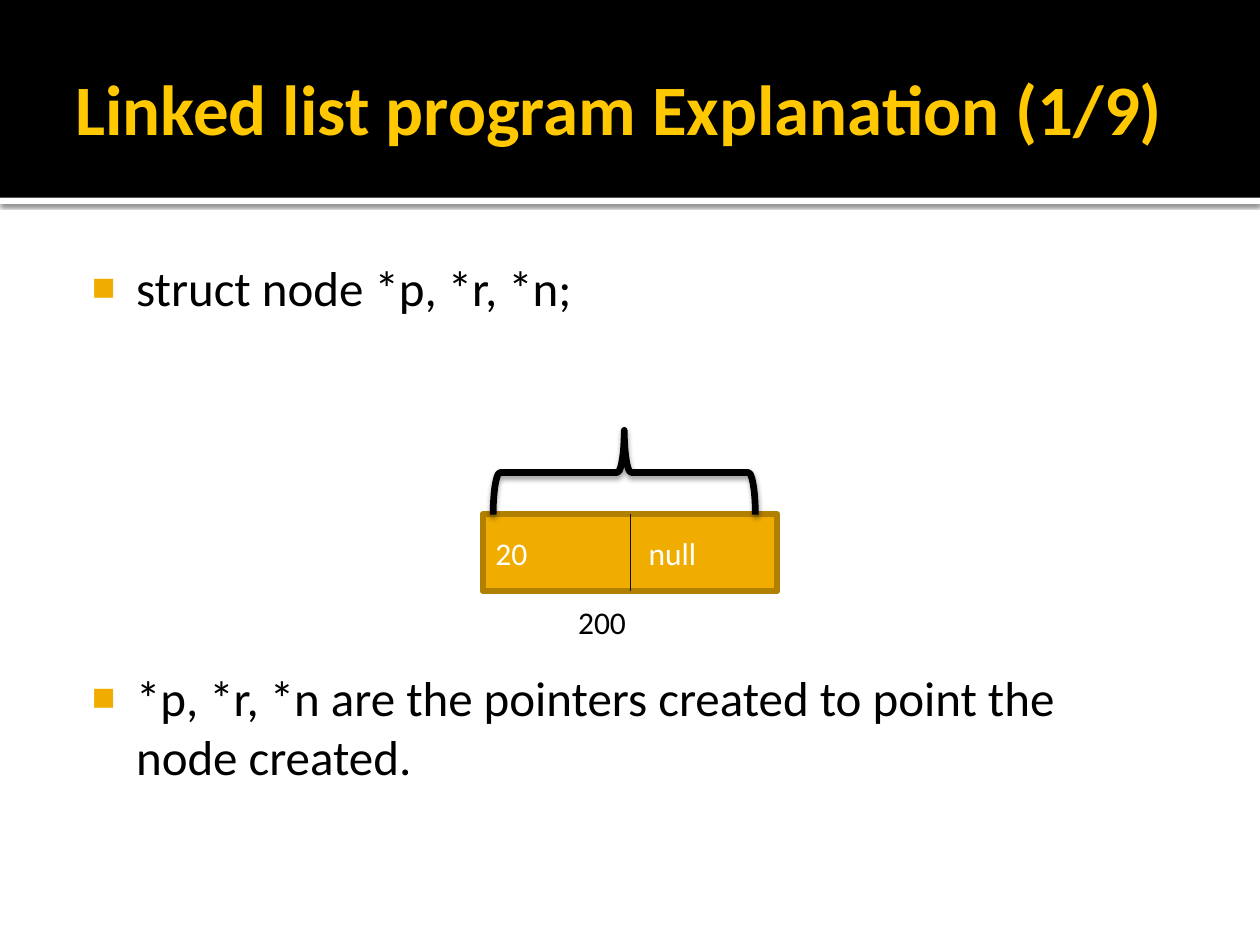
from lxml import etree
from pptx import Presentation
from pptx.dml.color import RGBColor
from pptx.enum.shapes import MSO_CONNECTOR as Link, MSO_SHAPE as Kind
from pptx.enum.text import MSO_ANCHOR as Anchor, MSO_AUTO_SIZE as Fit, PP_ALIGN as Align
from pptx.oxml import parse_xml
from pptx.oxml.ns import nsdecls, qn
from pptx.util import Pt

BLACK = RGBColor(0, 0, 0)
WHITE = RGBColor(255, 255, 255)
GOLD = RGBColor(0xFF, 0xC8, 0x00)
AMBER = RGBColor(0xF0, 0xAD, 0x00)
BROWN = RGBColor(0xB2, 0x80, 0x00)
INK = RGBColor(0x0D, 0x0D, 0x0D)


def draw(shapes, kind, box, fill=None, line=None, width=0, shade=None):
    """Add a preset shape; shade is opacity in percent, blur and distance."""
    shape = shapes.add_shape(kind, *map(Pt, box))
    shape.shadow.inherit = False
    if fill is None:
        shape.fill.background()
    else:
        shape.fill.solid()
        shape.fill.fore_color.rgb = fill
    if line is None:
        shape.line.fill.background()
    else:
        shape.line.color.rgb = line
        shape.line.width = Pt(width)
    if shade:
        alpha, blur, dist = shade
        effect = shape._element.spPr.find(qn("a:effectLst"))
        effect.append(parse_xml(
            f'<a:outerShdw {nsdecls("a")} blurRad="{Pt(blur)}" dist="{Pt(dist)}" '
            'dir="5400000" algn="ctr" rotWithShape="0"><a:srgbClr val="000000">'
            f'<a:alpha val="{alpha * 1000}"/></a:srgbClr></a:outerShdw>'))
    return shape


def write(shape, lines, size, color, bold=False, **form):
    """Fill a shape with left-aligned paragraphs; form sets its text frame."""
    frame = shape.text_frame
    base = {"word_wrap": True, "auto_size": Fit.NONE, "vertical_anchor": Anchor.MIDDLE}
    for name, value in {**base, **form}.items():
        setattr(frame, name, value)
    frame.text = "\n".join(lines)
    for para in frame.paragraphs:
        para.alignment = Align.LEFT
        para.space_before = Pt(0)
        look = {"name": "Calibri", "size": Pt(size), "bold": bold}
        for name, value in look.items():
            setattr(para.font, name, value)
        para.font.color.rgb = color
    return frame.paragraphs


deck = Presentation()
deck.slide_width, deck.slide_height = Pt(720), Pt(540)
slide = deck.slides.add_slide(deck.slide_layouts[1])
shapes = slide.shapes
title, body = shapes.title, shapes.placeholders[1]

# Header band and the strip under it, behind the text
band = draw(shapes, Kind.RECTANGLE, (0, 0, 720, 113), BLACK)
strip = draw(shapes, Kind.RECTANGLE, (0, 113, 720, 3.6), WHITE, shade=(60, 2.5, 0.8))
for back in (band, strip):
    shapes._spTree.insert(2, back._element)

# Title and list
places = ((title, (36, 12.2, 648, 98.6)), (body, (36, 139.7, 635.8, 364.3)))
for holder, box in places:
    for name, value in zip(("left", "top", "width", "height"), box):
        setattr(holder, name, Pt(value))
write(title, ["Linked list program Explanation (1/9)"], 40.5, GOLD, True,
      margin_right=Pt(3.6))
points = write(body, ["struct node *p, *r, *n;",
                      "*p, *r, *n are the pointers created to point the node created."],
               28, BLACK, vertical_anchor=Anchor.TOP, margin_top=Pt(7.2))
points[1].space_before = Pt(201)
for point in points:
    props = point._p.get_or_add_pPr()
    props.set("marL", str(Pt(34.56)))
    props.set("indent", str(Pt(-25.2)))
    marks = (f'<a:buClr {nsdecls("a")}><a:srgbClr val="{AMBER}"/></a:buClr>',
             f'<a:buSzPct {nsdecls("a")} val="80000"/>',
             f'<a:buFont {nsdecls("a")} typeface="Arial"/>',
             f'<a:buChar {nsdecls("a")} char="■"/>')
    spot = list(props).index(props.find(qn("a:defRPr")))
    for step, mark in enumerate(marks):
        props.insert(spot + step, parse_xml(mark))

# List node: data and link fields with the address below
group = shapes.add_group_shape().shapes
node = draw(group, Kind.RECTANGLE, (276, 293.8, 168, 43.9), AMBER, BROWN, 3.78)
field = write(node, ["20\tnull"], 18, WHITE)[0]
props = field._p.get_or_add_pPr()
props.find(qn("a:defRPr")).addprevious(parse_xml(
    f'<a:tabLst {nsdecls("a")}><a:tab pos="{Pt(87.5)}" algn="l"/></a:tabLst>'))

split = group.add_connector(Link.STRAIGHT, Pt(360), Pt(293.8), Pt(360), Pt(337.7))
split.begin_connect(node, 0)
split.end_connect(node, 2)
split.line.color.rgb = INK
split.line.width = Pt(0.5)
etree.SubElement(split._element.spPr, qn("a:effectLst"))

label = draw(group, Kind.RECTANGLE, (323.3, 344.2, 67, 22.3), None, WHITE, 3.78)
write(label, ["200"], 18, BLACK)

brace = draw(shapes, Kind.LEFT_BRACE, (332.6, 195.1, 48.2, 149.8),
             None, BLACK, 3.82, (38, 3.1, 2))
brace.rotation = 90

deck.save("out.pptx")
